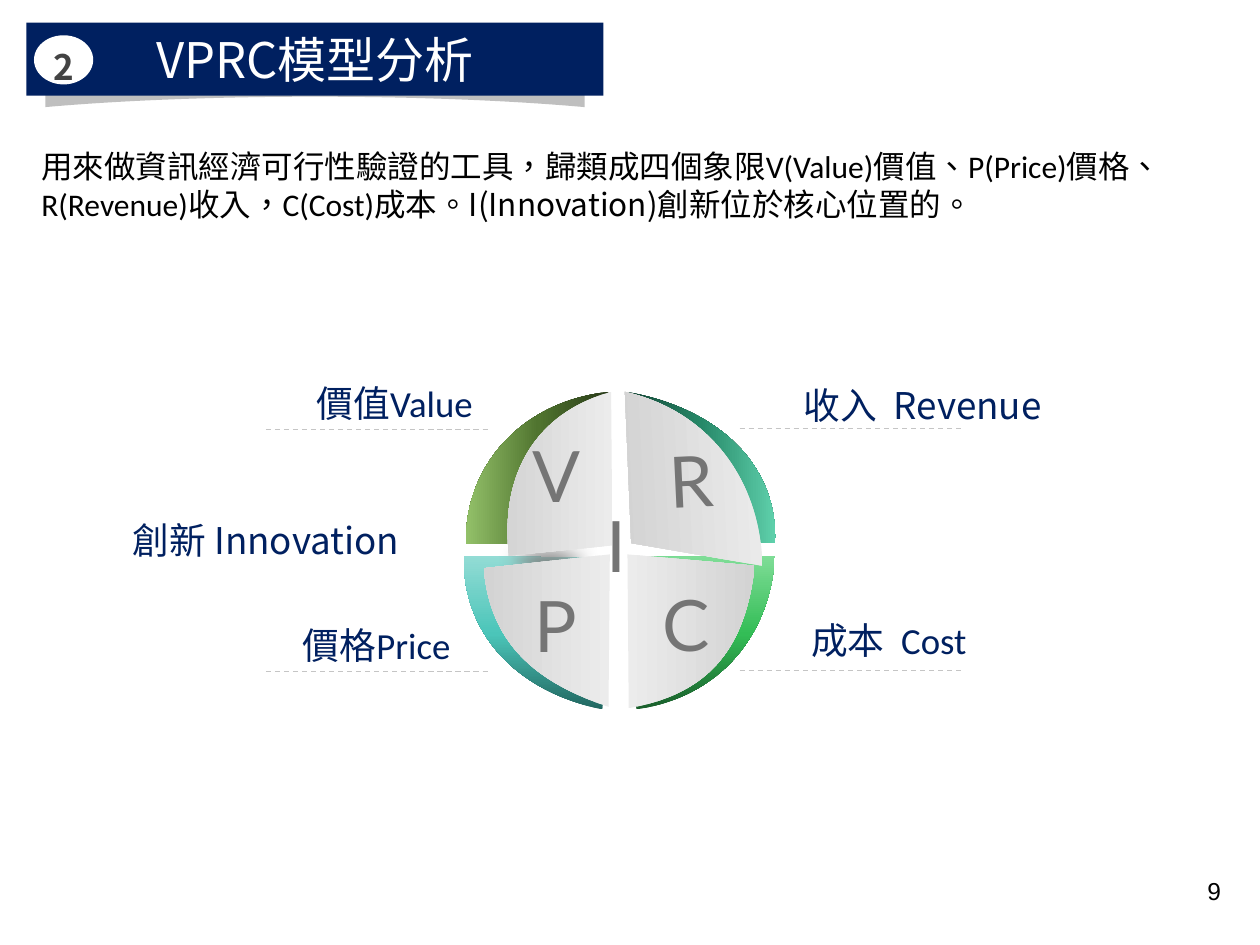
from math import cos, radians, sin

from pptx import Presentation
from pptx.dml.color import RGBColor
from pptx.enum.dml import MSO_LINE
from pptx.enum.lang import MSO_LANGUAGE_ID
from pptx.enum.shapes import MSO_CONNECTOR, MSO_SHAPE
from pptx.enum.text import MSO_ANCHOR, MSO_AUTO_SIZE, PP_ALIGN
from pptx.oxml import parse_xml
from pptx.oxml.ns import nsdecls, qn
from pptx.util import Inches, Pt

DASH = MSO_LINE.DASH
LINE = MSO_CONNECTOR.STRAIGHT
OVAL = MSO_SHAPE.OVAL
TONGUE = MSO_LANGUAGE_ID.TRADITIONAL_CHINESE
TOP, MIDDLE, BOTTOM = MSO_ANCHOR.TOP, MSO_ANCHOR.MIDDLE, MSO_ANCHOR.BOTTOM
FIXED = MSO_AUTO_SIZE.NONE
LEFT, CENTER, RIGHT = PP_ALIGN.LEFT, PP_ALIGN.CENTER, PP_ALIGN.RIGHT
NAVY, GREY, WHITE = "002060", "757575", "FFFFFF"
SANS, LATO, BODY = "Noto Sans CJK SC", "Lato", "Calibri"
INSET = (0.1, 0.05, 0.1, 0.05)
SILVER = [(0, "ECECEC"), (100, "D3D3D3")]
SMOKE = [(0, "808080"), (99, "A6A6A6", 20)]

# Dark, middle and light tone, gradient angle, start point, then lines and curves.
RIMS = [
    (("195E2B", "33BD56", "7FDD97"), 270, (6.15, 4.41),
     [(5.07, 4.42), (5.05, 5.63), (5.73, 5.53, 6.12, 5.02, 6.15, 4.41)]),
    (("216760", "4BC5B9", "93DCD5"), 270, (3.68, 4.41),
     [(4.79, 4.43), (4.78, 5.63), (4.11, 5.49, 3.67, 5.04, 3.68, 4.41)]),
    (("283A18", "50742F", "95C36B"), 180, (3.7, 4.32),
     [(4.84, 4.32), (4.83, 3.11), (4.12, 3.19, 3.68, 3.72, 3.7, 4.32)]),
    (("134434", "268868", "61D3AE"), 0, (6.15, 4.31),
     [(5.02, 4.31), (4.97, 3.11), (5.71, 3.24, 6.18, 3.7, 6.15, 4.31)]),
]
# Letter, gradient angle, tilt, insets, start point, then lines and curves.
PETALS = [
    ("R", 180, -2.8, (0.1, 0.05, 0.15, 0.05), (6.05, 4.49),
     [(5.01, 4.31), (4.96, 3.11), (5.63, 3.26, 6.04, 3.82, 6.05, 4.49)]),
    ("P", 180, 0, (0.24, 0.05, 0.1, 0.15), (4.84, 4.4),
     [(4.83, 5.61), (4.24, 5.41, 3.89, 5.1, 3.84, 4.51)]),
    ("C", 0, 0, (0.1, 0.05, 0.18, 0.18), (4.98, 4.4),
     [(5.99, 4.49), (5.92, 5.1, 5.67, 5.5, 4.99, 5.62)]),
    ("V", 180, 0, (0.16, 0.05, 0.15, 0.05), (4.04, 4.41),
     [(4.86, 4.33), (4.85, 3.11), (4.22, 3.29, 3.97, 3.8, 4.04, 4.41)]),
]
LABELS = [
    ("收入  Revenue", (6.28, 2.73, 2.73, 0.71), SANS, LEFT),
    ("價格Price", (2.12, 4.9, 1.74, 0.44), BODY, CENTER),
    ("價值Value", (2.11, 2.98, 1.74, 0.44), BODY, RIGHT),
    ("成本  Cost", (6.34, 4.86, 1.73, 0.44), BODY, LEFT),
]
INTRO = [
    ("用來做資訊經濟可行性驗證的工具，歸類成四個象限V(Value)價值、P(Price)價格、"
     "R(Revenue)收入，C(Cost)成本。", BODY),
    ("I(Innovation)創新位於核心位置的", SANS),
    ("。", "Noto Sans CJK TC"),
]


def color(code):
    """Turn a hex string into a colour."""
    return RGBColor.from_string(code)


def paint(shape, code):
    """Give a shape a plain fill with no line or shadow."""
    shape.shadow.inherit = False
    shape.line.fill.background()
    shape.fill.solid()
    shape.fill.fore_color.rgb = color(code)


def blend(shape, stops, angle=None):
    """Give a shape a linear gradient, or a radial one without an angle."""
    paint(shape, WHITE)
    marks = ""
    for pos, code, *alpha in stops:
        veil = f'<a:alpha val="{alpha[0] * 1000}"/>' if alpha else ""
        marks += f'<a:gs pos="{pos * 1000}"><a:srgbClr val="{code}">{veil}</a:srgbClr></a:gs>'
    if angle is None:
        kind = ('<a:path path="shape"><a:fillToRect l="50000" t="50000" '
                'r="50000" b="50000"/></a:path>')
    else:
        kind = f'<a:lin ang="{angle * 60000}" scaled="0"/>'
    old = shape.element.spPr.find(qn("a:solidFill"))
    old.getparent().replace(old, parse_xml(
        f'<a:gradFill {nsdecls("a")} rotWithShape="1"><a:gsLst>{marks}</a:gsLst>{kind}</a:gradFill>'))


def write(shape, text, size, face, code, align=LEFT, anchor=TOP,
          inset=INSET, space=None, bold=False, wrap=True):
    """Set one paragraph of text in a shape."""
    frame = shape.text_frame
    frame.auto_size = FIXED
    frame.word_wrap = wrap
    frame.vertical_anchor = anchor
    (frame.margin_left, frame.margin_top,
     frame.margin_right, frame.margin_bottom) = map(Inches, inset)
    para = frame.paragraphs[0]
    para.text = text
    para.alignment = align
    para.line_spacing = space
    font = para.font
    font.size, font.name, font.bold = Pt(size), face, bold
    font.color.rgb = color(code)
    return para


def add_box(slide, place):
    """Add an empty text box."""
    return slide.shapes.add_textbox(*map(Inches, place))


def add_oval(slide, place):
    """Add an ellipse."""
    return slide.shapes.add_shape(OVAL, *map(Inches, place))


def spin(step, angle, hub=(5.5, 3.8)):
    """Turn the points of a step about a hub."""
    c, s = cos(radians(angle)), sin(radians(angle))
    turned = []
    for x, y in zip(step[::2], step[1::2]):
        x, y = x - hub[0], y - hub[1]
        turned += [hub[0] + x * c - y * s, hub[1] + x * s + y * c]
    return turned


def add_form(slide, start, steps):
    """Add a closed outline of lines and cubic curves."""
    pen = slide.shapes.build_freeform(*map(Inches, start))
    for step in steps:
        spots = list(map(Inches, step))
        pen.add_line_segments(list(zip(spots[::2], spots[1::2])), close=step is steps[-1])
    form = pen.convert_to_shape()
    legs = iter(list(form.element.spPr.iter(qn("a:lnTo"))))
    for step in steps:
        group = [next(legs) for _ in step[::2]]
        if len(group) == 3:
            curve = parse_xml(f'<a:cubicBezTo {nsdecls("a")}/>')
            group[0].addprevious(curve)
            for leg in group:
                curve.append(leg[0])
                leg.getparent().remove(leg)
    return form


def add_petal(slide, text, angle, tilt, inset, start, steps):
    """Add a silver petal with its letter."""
    form = add_form(slide, spin(start, -tilt), [spin(step, -tilt) for step in steps])
    form.rotation = tilt
    blend(form, SILVER, angle)
    write(form, text, 40.5, LATO, GREY, CENTER, MIDDLE, inset)


def add_smoke(slide, place, tilt=0):
    """Add a grey shade with a soft edge."""
    oval = add_oval(slide, place)
    oval.rotation = tilt
    blend(oval, SMOKE)
    oval.element.spPr.find(qn("a:effectLst")).append(
        parse_xml(f'<a:softEdge {nsdecls("a")} rad="{Pt(12.5)}"/>'))


def add_rule(slide, x, y):
    """Add a dashed line under a label."""
    rule = slide.shapes.add_connector(LINE, *map(Inches, (x, y, x + 1.77, y)))
    rule.line.color.rgb = color("C5C5C5")
    rule.line.width = Pt(0.75)
    rule.line.dash_style = DASH
    rule.element.spPr.append(parse_xml(f'<a:effectLst {nsdecls("a")}/>'))


def add_wheel(slide):
    """Draw the rims, shades and petals."""
    for i, (tones, angle, start, steps) in enumerate(RIMS):
        if i == 2:
            add_smoke(slide, (3.8, 4.15, 1.11, 0.61))
        blend(add_form(slide, start, steps), list(zip((0, 49, 100), tones)), angle)
    add_petal(slide, *PETALS[0])
    add_smoke(slide, (4.3, 5.45, 0.68, 0.32), 15.3)
    add_smoke(slide, (4.84, 5.46, 0.68, 0.32), -17.4)
    for petal in PETALS[1:]:
        add_petal(slide, *petal)


def add_intro(slide):
    """Write the opening text in its three fonts."""
    para = write(add_box(slide, (0.23, 1.12, 9.11, 0.71)), "", 18, BODY, "000000")
    para.font.language_id = TONGUE
    para.font._element.getparent().set("hangingPunct", "0")
    for text, face in INTRO:
        run = para.add_run()
        run.text, run.font.name, run.font.language_id = text, face, TONGUE


def add_head(slide):
    """Draw the title bar over its shade, with the number badge."""
    paint(add_form(slide, (4.64, 0.85), [
        (3.4, 0.74, 1.6, 0.74, 0.36, 0.85), (0.36, 0.63), (2.5, 0.56), (4.64, 0.63)]), "BFBFBF")
    title = slide.shapes.title
    title.left, title.top, title.width, title.height = map(Inches, (0.21, 0.18, 4.58, 0.58))
    paint(title, NAVY)
    write(title, "VPRC模型分析", 28, SANS, WHITE, CENTER, MIDDLE)
    title.element.getparent().append(title.element)
    badge = add_oval(slide, (0.27, 0.28, 0.47, 0.39))
    paint(badge, WHITE)
    write(badge, "2", 20, SANS, "434343", CENTER, MIDDLE, (0, 0.04, 0, 0), 1.2, True)


def main():
    """Build the slide and save it."""
    deck = Presentation()
    deck.slide_width, deck.slide_height = Inches(10), Inches(7.5)
    slide = deck.slides.add_slide(deck.slide_layouts[5])
    add_wheel(slide)
    for x, y in ((2.11, 3.41), (2.11, 5.33), (5.87, 3.4), (5.87, 5.32)):
        add_rule(slide, x, y)
    for text, place, face, align in LABELS:
        write(add_box(slide, place), text, 21, face, NAVY, align, BOTTOM, space=1.3)
    add_intro(slide)
    write(add_box(slide, (4.3, 3.93, 1.18, 0.78)), "I", 40.5, LATO, GREY, CENTER)
    write(add_box(slide, (0.9, 4.06, 2.42, 0.45)), "創新 Innovation", 21, SANS, NAVY,
          CENTER, wrap=False)
    write(add_box(slide, (9.19, 6.9, 0.6, 0.43)), "9", 14, "Arial", "000000", RIGHT)
    add_head(slide)
    deck.save("out.pptx")


if __name__ == "__main__":
    main()
